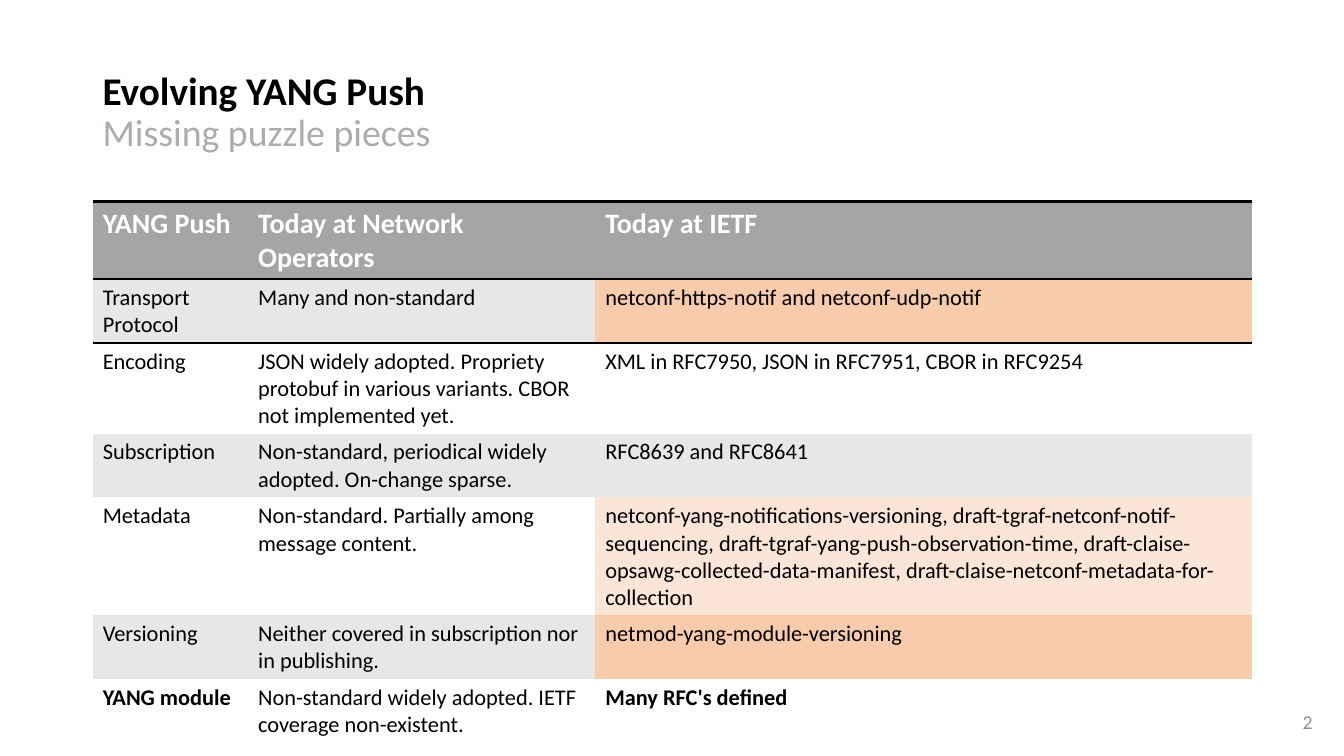
import pptx
import pptx.dml.color
import pptx.enum.text
import pptx.oxml
import pptx.oxml.ns
import pptx.util
from pptx.dml.color import RGBColor
from pptx.util import Pt

BLACK = RGBColor(0x00, 0x00, 0x00)
WHITE = RGBColor(0xFF, 0xFF, 0xFF)
SUBTITLE_GRAY = RGBColor(0xAF, 0xAB, 0xAB)
HEADER_GRAY = RGBColor(0xA5, 0xA5, 0xA5)
BAND_GRAY = RGBColor(0xE7, 0xE7, 0xE7)
NUMBER_GRAY = RGBColor(0x8C, 0x8C, 0x8C)
ORANGE = RGBColor(0xF8, 0xCB, 0xAD)
PALE_ORANGE = RGBColor(0xFB, 0xE5, 0xD6)

PLAIN_TABLE_STYLE = "{2D5ABB26-0587-4C30-8999-92F81FD0307C}"
LEFT, WIDTH = 66.25, 828
COLUMN_WIDTHS = [111, 248, 469]
ROW_HEIGHTS = [27, 40, 57, 40, 73, 40, 57]
ROWS = [
    ["YANG Push", "Today at Network Operators", "Today at IETF"],
    ["Transport Protocol", "Many and non-standard",
     "netconf-https-notif and netconf-udp-notif"],
    ["Encoding",
     "JSON widely adopted. Propriety protobuf in various variants. "
     "CBOR not implemented yet.",
     "XML in RFC7950, JSON in RFC7951, CBOR in RFC9254"],
    ["Subscription",
     "Non-standard, periodical widely adopted. On-change sparse.",
     "RFC8639 and RFC8641"],
    ["Metadata", "Non-standard. Partially among message content.",
     "netconf-yang-notifications-versioning, "
     "draft-tgraf-netconf-notif-sequencing, "
     "draft-tgraf-yang-push-observation-time, "
     "draft-claise-opsawg-collected-data-manifest, "
     "draft-claise-netconf-metadata-for-collection"],
    ["Versioning", "Neither covered in subscription nor in publishing.",
     "netmod-yang-module-versioning"],
    ["YANG module",
     "Non-standard widely adopted. IETF coverage non-existent.",
     "Many RFC's defined"],
]
LAST_ROW = len(ROWS) - 1
HIGHLIGHTS = {(1, 2): ORANGE, (4, 2): PALE_ORANGE, (5, 2): ORANGE}
BOLD_CELLS = {(LAST_ROW, 0), (LAST_ROW, 2)}
RULES = {0: ["lnT", "lnB"], 1: ["lnT"], LAST_ROW: ["lnB"]}


def add_text(para, text, size=16, color=BLACK, bold=False, font="Calibri"):
    """Append a formatted span to a paragraph."""
    span = para.add_run()
    span.text = text
    span.font.name = font
    span.font.size = Pt(size)
    span.font.bold = bold
    span.font.color.rgb = color


def add_rules(cell, sides, width=2):
    """Draw black border lines on the named sides of a cell."""
    properties = cell._tc.get_or_add_tcPr()
    for position, side in enumerate(sides):
        properties.insert(position, pptx.oxml.parse_xml(
            f'<a:{side} {pptx.oxml.ns.nsdecls("a")} w="{Pt(width)}">'
            f'<a:solidFill><a:srgbClr val="{BLACK}"/></a:solidFill></a:{side}>'))


def cell_fill(row, column):
    """Choose the background of a table cell."""
    if row == 0:
        return HEADER_GRAY
    return HIGHLIGHTS.get((row, column), BAND_GRAY if row % 2 else WHITE)


class SlideBuilder:
    """Holds the current slide and adds elements to it."""

    def __init__(self, page):
        """Start on the given page."""
        self.page = page

    def text_box(self, left, top, width, height, align=None):
        """Add a wrapped, vertically centred box and return its paragraph."""
        box = self.page.shapes.add_textbox(
            Pt(left), Pt(top), Pt(width), Pt(height))
        box.text_frame.word_wrap = True
        box.text_frame.vertical_anchor = pptx.enum.text.MSO_ANCHOR.MIDDLE
        para = box.text_frame.paragraphs[0]
        para.alignment = align
        return para

    def table(self, left, top, width, rows):
        """Add the comparison table."""
        frame = self.page.shapes.add_table(
            len(rows), len(COLUMN_WIDTHS),
            Pt(left), Pt(top), Pt(width), Pt(sum(ROW_HEIGHTS)))
        table = frame.table
        style = table._tbl.tblPr.find(pptx.oxml.ns.qn("a:tableStyleId"))
        style.text = PLAIN_TABLE_STYLE
        for column, column_width in zip(table.columns, COLUMN_WIDTHS):
            column.width = Pt(column_width)
        for row, texts in enumerate(rows):
            table.rows[row].height = Pt(ROW_HEIGHTS[row])
            header = row == 0
            for column, text in enumerate(texts):
                cell = table.cell(row, column)
                cell.fill.solid()
                cell.fill.fore_color.rgb = cell_fill(row, column)
                add_rules(cell, RULES.get(row, []))
                add_text(cell.text_frame.paragraphs[0], text,
                         size=20 if header else 16,
                         color=WHITE if header else BLACK,
                         bold=header or (row, column) in BOLD_CELLS)


def main():
    """Build and save the deck."""
    deck = pptx.Presentation()
    deck.slide_width, deck.slide_height = Pt(960), Pt(540)
    builder = SlideBuilder(deck.slides.add_slide(deck.slide_layouts[6]))

    title = builder.text_box(LEFT, 28.75, WIDTH, 104.4)
    title.line_spacing = 0.9
    add_text(title, "Evolving YANG Push", size=28, bold=True)
    title.add_line_break()
    add_text(title, "Missing puzzle pieces", size=27, color=SUBTITLE_GRAY)

    builder.table(LEFT, 144, WIDTH, ROWS)

    number = builder.text_box(912.25, 501, 32.4, 28.8,
                              align=pptx.enum.text.PP_ALIGN.RIGHT)
    add_text(number, "2", size=14, color=NUMBER_GRAY)
    deck.save("out.pptx")


main()
